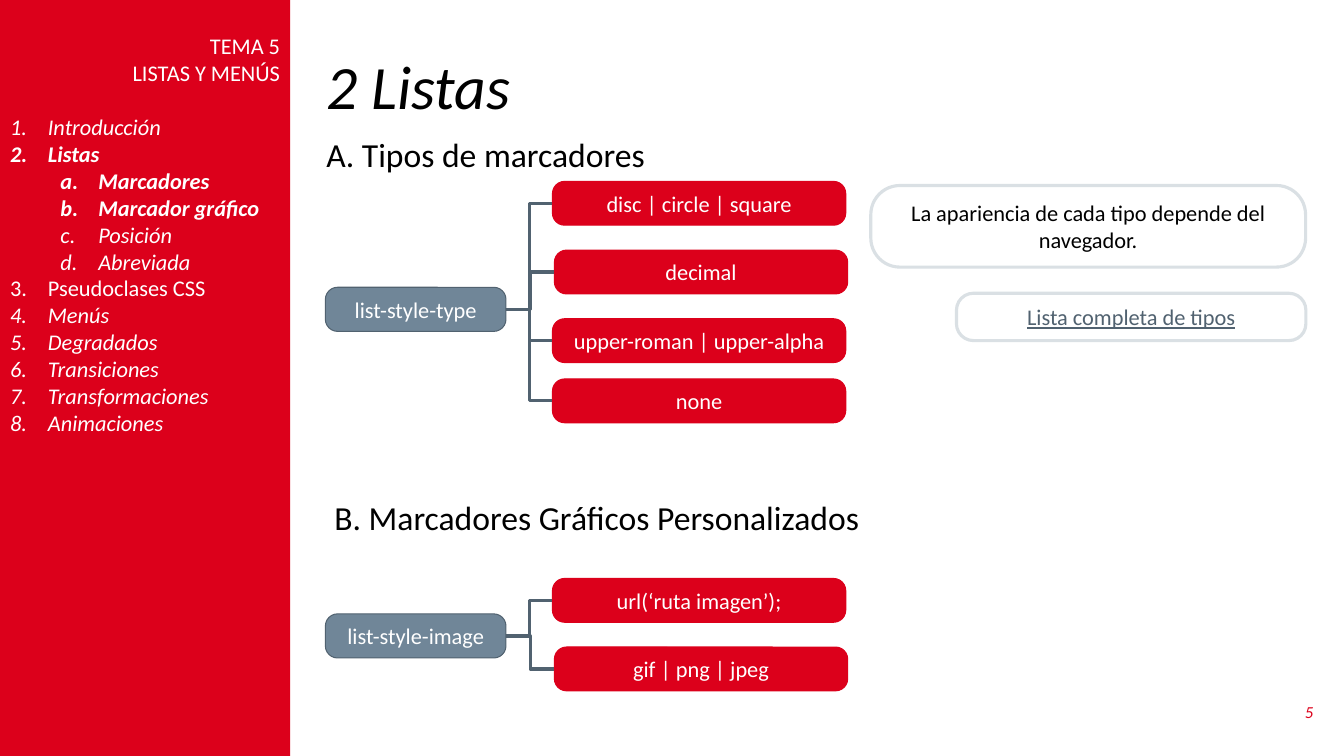
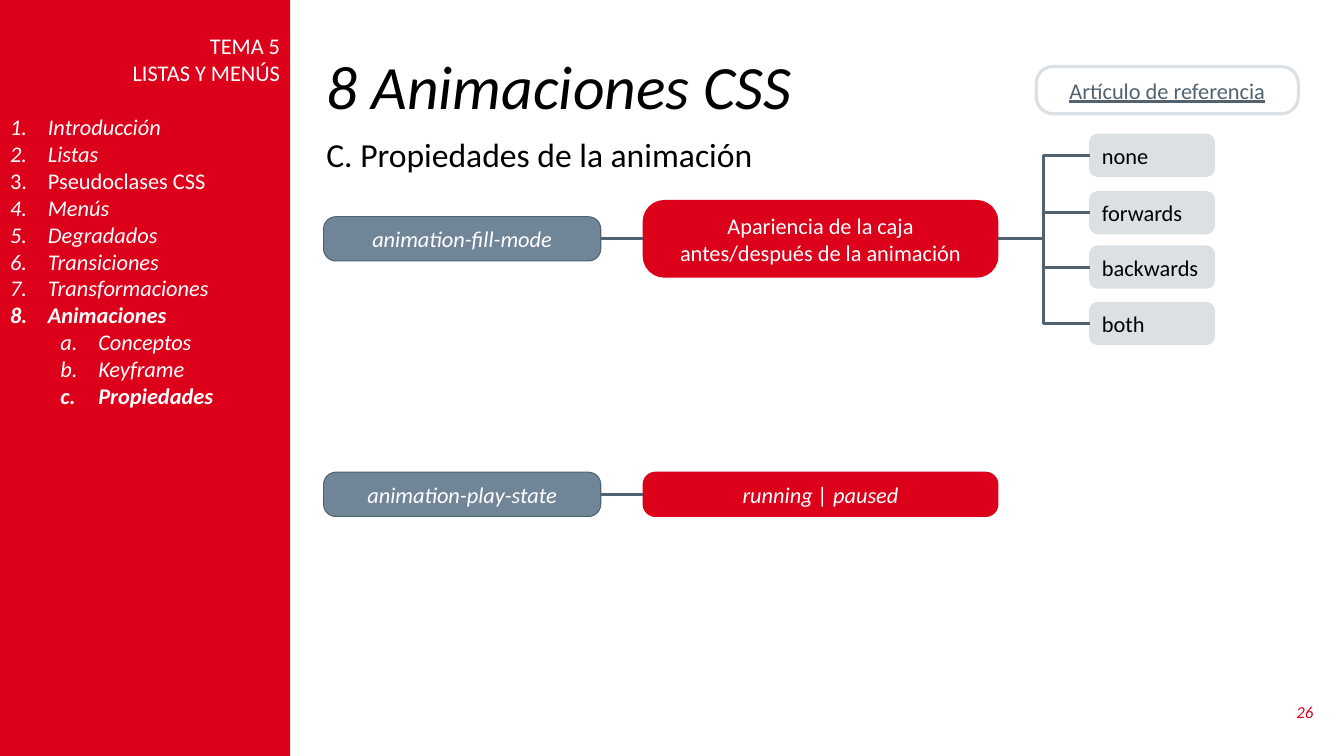
from lxml import etree
from pptx import Presentation
from pptx.dml.color import RGBColor
from pptx.enum.shapes import MSO_CONNECTOR, MSO_SHAPE
from pptx.enum.text import MSO_ANCHOR, MSO_AUTO_SIZE, PP_ALIGN
from pptx.oxml.ns import qn
from pptx.util import Pt

RED = RGBColor(0xDC, 0x00, 0x1B)
SLATE = RGBColor(0x70, 0x86, 0x98)
DARK_SLATE = RGBColor(0x51, 0x62, 0x70)
PALE = RGBColor(0xDA, 0xE0, 0xE4)
WHITE = RGBColor(0xFF, 0xFF, 0xFF)
BLACK = RGBColor(0x00, 0x00, 0x00)

FONT = "Calibri"
LEFT, CENTER, RIGHT = PP_ALIGN.LEFT, PP_ALIGN.CENTER, PP_ALIGN.RIGHT
MIDDLE, TOP = MSO_ANCHOR.MIDDLE, MSO_ANCHOR.TOP
NO_AUTOFIT = MSO_AUTO_SIZE.NONE
ROUNDED = MSO_SHAPE.ROUNDED_RECTANGLE
ELBOW, STRAIGHT = MSO_CONNECTOR.ELBOW, MSO_CONNECTOR.STRAIGHT
RIGHT_SIDE, LEFT_SIDE = 3, 1

SLIDE_WIDTH, SLIDE_HEIGHT = 960, 540
SIDEBAR_WIDTH = 207.3
LINE_HEIGHT = 19.5

TOPICS = ["Introducción", "Listas", "Pseudoclases CSS", "Menús", "Degradados",
          "Transiciones", "Transformaciones", "Animaciones"]
UPRIGHT_TOPIC = "Pseudoclases CSS"

PROPERTY = dict(fill=SLATE, line=DARK_SLATE, line_width=0.75, corner=0.277, color=WHITE, align=CENTER)
VALUE = dict(PROPERTY, fill=RED, line=RED)
OPTION = dict(fill=PALE, line=PALE, line_width=0.75, corner=0.195, color=BLACK, align=LEFT)
NOTE = dict(fill=None, line=PALE, line_width=2.25, corner=0.357, color=BLACK, align=CENTER)
REFERENCE = dict(NOTE, color=DARK_SLATE)


def place(shape, box):
    for name, value in zip(("left", "top", "width", "height"), box):
        setattr(shape, name, Pt(value))


def write(paragraph, text, color, size=16, align=LEFT, **font_format):
    paragraph.alignment = align
    run = paragraph.add_run()
    run.text = text
    run.font.color.rgb = color
    values = dict(name=FONT, size=Pt(size), **font_format)
    for name, value in values.items():
        setattr(run.font, name, value)


def set_frame(frame, anchor):
    frame.word_wrap = True
    frame.auto_size = NO_AUTOFIT
    frame.vertical_anchor = anchor


def add_text(slide, box, text, color, size, anchor=TOP, **text_format):
    shape = slide.shapes.add_textbox(*map(Pt, box))
    set_frame(shape.text_frame, anchor)
    write(shape.text_frame.paragraphs[0], text, color, size, **text_format)


def add_subtitle(slide, left, top, text):
    add_text(slide, (left, top, 537, 36), text, BLACK, 24)


def add_box(slide, style, box, text, **font_format):
    shape = slide.shapes.add_shape(ROUNDED, *map(Pt, box))
    shape.shadow.inherit = False
    shape.adjustments[0] = style["corner"]
    if style["fill"] is None:
        shape.fill.background()
    else:
        shape.fill.solid()
        shape.fill.fore_color.rgb = style["fill"]
    shape.line.color.rgb = style["line"]
    shape.line.width = Pt(style["line_width"])
    set_frame(shape.text_frame, MIDDLE)
    write(shape.text_frame.paragraphs[0], text, style["color"], align=style["align"], **font_format)
    return shape


def join(slide, source, target, kind=ELBOW):
    connector = slide.shapes.add_connector(kind, 0, 0, 0, 0)
    connector.begin_connect(source, RIGHT_SIDE)
    connector.end_connect(target, LEFT_SIDE)
    connector.line.color.rgb = DARK_SLATE
    connector.line.width = Pt(2.25)
    etree.SubElement(connector._element.spPr, qn("a:effectLst"))


def add_branches(slide, source, style, boxes):
    """Add a box for each (text, box) pair and join it to the source."""
    for text, box in boxes:
        join(slide, source, add_box(slide, style, box, text))


def set_bullet(paragraph, numbering, left=0, hanging=0):
    """Number the paragraph, or remove its bullet if numbering is None."""
    properties = paragraph._p.get_or_add_pPr()
    properties.set("marL", str(Pt(left)))
    properties.set("indent", str(-Pt(hanging)))
    if numbering is None:
        etree.SubElement(properties, qn("a:buNone"))
    else:
        etree.SubElement(properties, qn("a:buFont"), typeface=FONT)
        etree.SubElement(properties, qn("a:buAutoNum"), type=numbering)


def add_sidebar(slide, current, subtopics, active):
    sidebar = slide.placeholders[1]
    place(sidebar, (0, 0, SIDEBAR_WIDTH, SLIDE_HEIGHT))
    sidebar.fill.solid()
    sidebar.fill.fore_color.rgb = RED
    frame = sidebar.text_frame
    set_frame(frame, TOP)
    frame.margin_top = Pt(3.6 + LINE_HEIGHT)

    def add_line(space_before=0):
        first = frame.paragraphs[0]
        paragraph = frame.add_paragraph() if first.runs else first
        paragraph.space_before = Pt(space_before)
        paragraph.line_spacing = 1.0
        return paragraph

    for heading in ("TEMA 5", "LISTAS Y MENÚS"):
        paragraph = add_line()
        set_bullet(paragraph, None)
        write(paragraph, heading, WHITE, align=RIGHT)
    for topic in TOPICS:
        paragraph = add_line(LINE_HEIGHT if topic == TOPICS[0] else 0)
        set_bullet(paragraph, "arabicPeriod", 27, 27)
        write(paragraph, topic, WHITE, bold=topic == current, italic=topic != UPRIGHT_TOPIC)
        for subtopic in subtopics if topic == current else []:
            paragraph = add_line()
            paragraph.level = 1
            set_bullet(paragraph, "alphaLcPeriod", 63, 27)
            write(paragraph, subtopic, WHITE, bold=subtopic in active, italic=True)


def add_slide(presentation, title, number, current, subtopics, active):
    slide = presentation.slides.add_slide(presentation.slide_layouts[1])
    place(slide.shapes.title, (226, 36, 719.3, 56.2))
    frame = slide.shapes.title.text_frame
    set_frame(frame, MIDDLE)
    frame.paragraphs[0].line_spacing = 0.9
    write(frame.paragraphs[0], title, BLACK, 44, italic=True)
    add_sidebar(slide, current, subtopics, active)
    add_text(slide, (908.6, 494, 36.7, 28.8), number, RED, 12, MIDDLE, align=RIGHT, italic=True)
    return slide


def add_lists_slide(presentation):
    slide = add_slide(presentation, "2 Listas", "5", "Listas",
                      ["Marcadores", "Marcador gráfico", "Posición", "Abreviada"],
                      ["Marcadores", "Marcador gráfico"])
    add_subtitle(slide, 226, 92.2, "A. Tipos de marcadores")
    add_subtitle(slide, 231.8, 351.4, "B. Marcadores Gráficos Personalizados")
    groups = [
        ("list-style-type", 205.2, [
            ("disc | circle | square", 394.6, 129.6),
            ("decimal", 396, 178.7),
            ("upper-roman | upper-alpha", 394.6, 227.7),
            ("none", 394.6, 270.7)]),
        ("list-style-image", 438.5, [
            ("url(‘ruta imagen’);", 394.6, 413.2),
            ("gif | png | jpeg", 396, 462.2)]),
    ]
    for name, name_top, values in groups:
        source = add_box(slide, PROPERTY, (232.4, name_top, 129, 31.5), name)
        add_branches(slide, source, VALUE,
                     [(text, (left, top, 209.5, 31.3)) for text, left, top in values])
    add_box(slide, NOTE, (622, 132.5, 310.6, 58.3),
            "La apariencia de cada tipo depende del navegador.")
    add_box(slide, REFERENCE, (683.2, 209.5, 249.6, 33.8), "Lista completa de tipos", underline=True)


def add_animations_slide(presentation):
    slide = add_slide(presentation, "8 Animaciones CSS", "26", "Animaciones",
                      ["Conceptos", "Keyframe", "Propiedades"], ["Propiedades"])
    add_subtitle(slide, 226, 92.2, "C. Propiedades de la animación")
    add_box(slide, REFERENCE, (740.2, 47.5, 187.2, 33.8), "Artículo de referencia", underline=True)
    rows = [
        ("animation-fill-mode", 170.6, "Apariencia de la caja antes/después de la animación", 54.8, False),
        ("animation-play-state", 353.1, "running | paused", 31.6, True),
    ]
    values = []
    for name, middle, text, height, italic in rows:
        source = add_box(slide, PROPERTY, (231.1, middle - 15.8, 198, 31.6), name, italic=True)
        value = add_box(slide, VALUE, (459.4, middle - height / 2, 253.4, height), text, italic=italic)
        join(slide, source, value, STRAIGHT)
        values.append(value)
    options = [("none", 95.8), ("forwards", 136.8), ("backwards", 175.7), ("both", 216)]
    add_branches(slide, values[0], OPTION,
                 [(text, (778.3, top, 89.3, 30.2)) for text, top in options])


def main():
    presentation = Presentation()
    presentation.slide_width = Pt(SLIDE_WIDTH)
    presentation.slide_height = Pt(SLIDE_HEIGHT)
    add_lists_slide(presentation)
    add_animations_slide(presentation)
    presentation.save("out.pptx")


if __name__ == "__main__":
    main()
